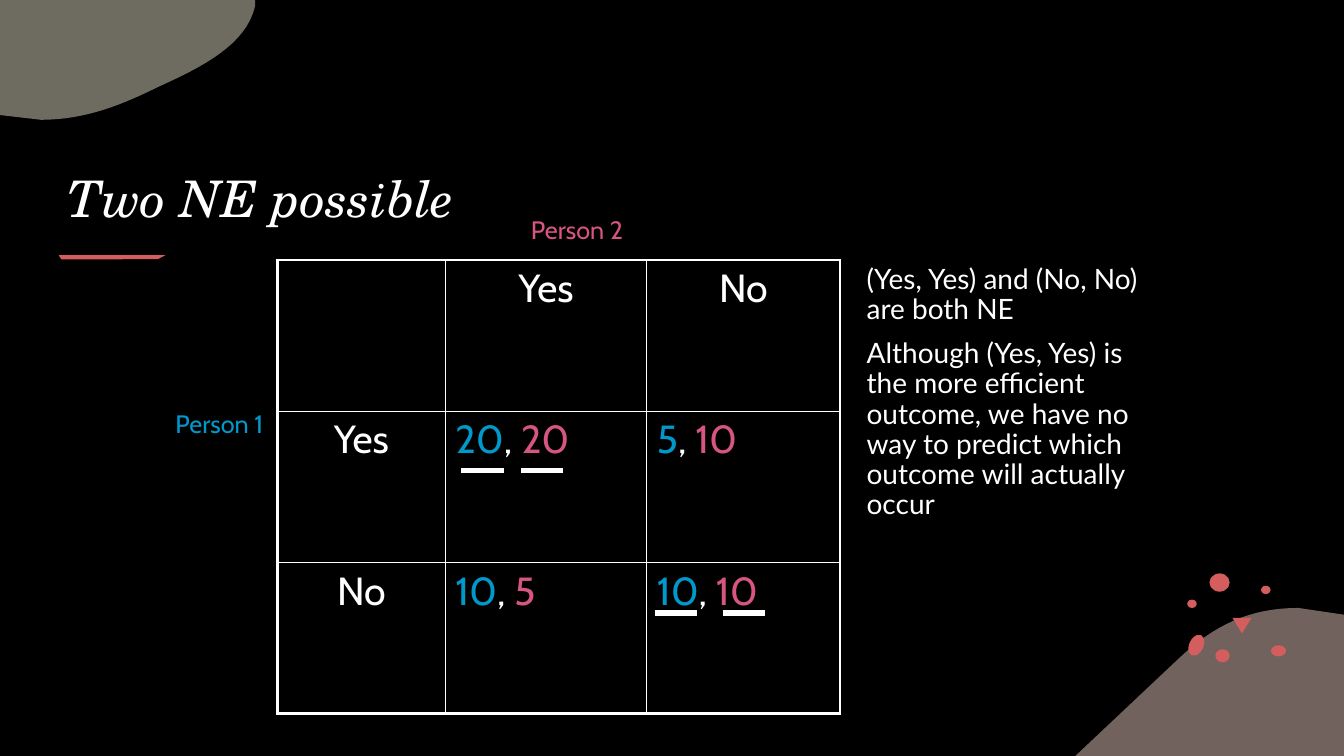
from dataclasses import dataclass

from lxml.etree import SubElement
from pptx import Presentation
from pptx.dml.color import RGBColor
from pptx.enum.shapes import MSO_CONNECTOR, MSO_SHAPE
from pptx.enum.text import MSO_ANCHOR, PP_ALIGN
from pptx.oxml.ns import qn
from pptx.util import Cm, Pt

WHITE, BLACK, CORAL = "FFFFFF", "000000", "D45E5E"
BLUE, PINK = "0099CC", "D75681"
CURVE_STEPS = 16
SLIDE_WIDTH, SLIDE_HEIGHT = 33.87, 19.05


@dataclass
class Run:
    text: str
    color: str = WHITE


@dataclass
class TextStyle:
    font: str
    size: float
    italic: bool = False


@dataclass
class TextBlock:
    left: float
    top: float
    width: float
    height: float
    paragraphs: list[Run]
    style: TextStyle
    anchor: MSO_ANCHOR = MSO_ANCHOR.TOP
    line_spacing: float = 1.0
    space_before: float = 0


@dataclass
class Outline:
    """A closed outline: a start, then line ends (2 numbers) or Bezier curves (6 numbers)."""
    start: tuple[float, float]
    segments: list[tuple[float, ...]]
    color: str = CORAL
    opacity: int = 100


@dataclass
class Confetti:
    left: float
    top: float
    width: float
    height: float
    kind: MSO_SHAPE = MSO_SHAPE.OVAL
    rotation: float = 0


HEADING = TextStyle("TeX Gyre Schola", 36, italic=True)
BODY = TextStyle("Lato", 20)
PLAYER = TextStyle("Cabin", 18)
PAYOFF = TextStyle("Cabin", 28)

# Two corner blobs and the brush stroke under the heading
OUTLINES = [
    Outline((32.72, 15.32), [
        (SLIDE_WIDTH, 15.49), (SLIDE_WIDTH, SLIDE_HEIGHT), (27.1, SLIDE_HEIGHT), (29.69, 16.61),
        (30.6, 15.75, 31.5, 15.32, 32.72, 15.32)], "E5C4BA", 50),
    Outline((0, 0), [
        (6.43, 0), (6.43, 0.15), (6.22, 1.12, 5.08, 1.7, 4.01, 2.18),
        (3.12, 2.62, 2.18, 3.02, 1.04, 3.02), (0, 2.9)], "DCD9C3", 50),
    Outline((1.48, 6.43), [(4.17, 6.43), (3.98, 6.53), (1.55, 6.54)]),
]

CONFETTI = [
    Confetti(30.63, 16.36, 0.36, 0.33),
    Confetti(29.97, 15.98, 0.36, 0.56, rotation=25),
    Confetti(32.03, 16.26, 0.38, 0.28),
    Confetti(30.48, 14.45, 0.51, 0.46),
    Confetti(31.78, 14.76, 0.24, 0.21),
    Confetti(29.92, 15.11, 0.24, 0.21),
    Confetti(31.06, 15.57, 0.48, 0.39, MSO_SHAPE.FLOWCHART_MERGE),
]

TEXT_BLOCKS = [
    TextBlock(1.45, 2.18, 27.99, 3.68, [Run("Two NE possible")], HEADING, MSO_ANCHOR.BOTTOM),
    TextBlock(21.59, 6.55, 7.62, 11.63, [
        Run("(Yes, Yes) and (No, No) are both NE"),
        Run("Although (Yes, Yes) is the more efficient outcome, we have no way to predict "
            "which outcome will actually occur"),
    ], BODY, line_spacing=0.9, space_before=10),
    TextBlock(4.17, 10.16, 3.02, 1.02, [Run("Person 1", BLUE)], PLAYER),
    TextBlock(13.13, 5.28, 3.61, 1.02, [Run("Person 2", PINK)], PLAYER),
]

CHOICES = ["Yes", "No"]
PAYOFFS = [[(20, 20), (5, 10)], [(10, 5), (10, 10)]]
COLUMN_WIDTHS = [4.23, 5.08, 4.87]
ROW_HEIGHT = 3.81

# Left ends of the best-response marks, by height
BEST_RESPONSES = {11.86: (11.63, 13.13), 15.44: (16.51, 18.21)}
MARK_LENGTH = 1.06


def rgb(color: str) -> RGBColor:
    return RGBColor.from_string(color)


def paint(shape, color: str) -> None:
    shape.shadow.inherit = False
    shape.line.fill.background()
    shape.fill.solid()
    shape.fill.fore_color.rgb = rgb(color)


def add_run(paragraph, run: Run, style: TextStyle) -> None:
    piece = paragraph.add_run()
    piece.text = run.text
    piece.font.name = style.font
    piece.font.size = Pt(style.size)
    piece.font.italic = style.italic
    piece.font.color.rgb = rgb(run.color)


def draw_outline(slide, outline: Outline) -> None:
    points = [outline.start]
    for segment in outline.segments:
        if len(segment) == 2:
            points.append(segment)
            continue
        corners = [points[-1], segment[:2], segment[2:4], segment[4:]]
        for step in range(1, CURVE_STEPS + 1):
            t = step / CURVE_STEPS
            weights = ((1 - t) ** 3, 3 * t * (1 - t) ** 2, 3 * t * t * (1 - t), t ** 3)
            points.append(tuple(sum(weight * corner[axis] for weight, corner
                                    in zip(weights, corners)) for axis in (0, 1)))
    placed = [(Cm(x), Cm(y)) for x, y in points]
    builder = slide.shapes.build_freeform(*placed[0])
    builder.add_line_segments(placed[1:], close=True)
    shape = builder.convert_to_shape()
    paint(shape, outline.color)
    if outline.opacity < 100:
        color = shape.element.spPr.find(qn("a:solidFill"))[0]
        SubElement(color, qn("a:alpha"), val=str(outline.opacity * 1000))


def draw_confetti(slide, piece: Confetti) -> None:
    shape = slide.shapes.add_shape(piece.kind, Cm(piece.left), Cm(piece.top),
                                   Cm(piece.width), Cm(piece.height))
    shape.rotation = piece.rotation
    paint(shape, CORAL)


def draw_text(slide, block: TextBlock) -> None:
    shape = slide.shapes.add_textbox(Cm(block.left), Cm(block.top),
                                     Cm(block.width), Cm(block.height))
    frame = shape.text_frame
    frame.word_wrap = True
    frame.vertical_anchor = block.anchor
    for index, run in enumerate(block.paragraphs):
        paragraph = frame.add_paragraph() if index else frame.paragraphs[0]
        paragraph.line_spacing = block.line_spacing
        paragraph.space_before = Pt(block.space_before if index else 0)
        add_run(paragraph, run, block.style)


def set_border(cell, side: str, width: float) -> None:
    line = SubElement(cell._tc.get_or_add_tcPr(), qn(f"a:ln{side}"), w=str(Pt(width)))
    fill = SubElement(line, qn("a:solidFill"))
    SubElement(fill, qn("a:srgbClr"), val=WHITE)


def draw_game(slide) -> None:
    size = len(COLUMN_WIDTHS)
    table = slide.shapes.add_table(size, size, Cm(6.99), Cm(6.55), Cm(sum(COLUMN_WIDTHS)),
                                   Cm(ROW_HEIGHT * size)).table
    table.first_row = table.horz_banding = False
    for column, width in zip(table.columns, COLUMN_WIDTHS):
        column.width = Cm(width)
    for row in range(size):
        for column in range(size):
            cell = table.cell(row, column)
            edges = {"L": column == 0, "R": column == size - 1,
                     "T": row == 0, "B": row == size - 1}
            for side, outer in edges.items():
                set_border(cell, side, 2.25 if outer else 1)
            cell.fill.background()
            paragraph = cell.text_frame.paragraphs[0]
            if row and column:
                first, second = PAYOFFS[row - 1][column - 1]
                for run in (Run(str(first), BLUE), Run(", "), Run(str(second), PINK)):
                    add_run(paragraph, run, PAYOFF)
            elif row or column:
                paragraph.alignment = PP_ALIGN.CENTER
                add_run(paragraph, Run(CHOICES[max(row, column) - 1]), PAYOFF)


def draw_mark(slide, left: float, top: float) -> None:
    line = slide.shapes.add_connector(MSO_CONNECTOR.STRAIGHT, Cm(left), Cm(top),
                                      Cm(left + MARK_LENGTH), Cm(top))
    line.line.color.rgb = rgb(WHITE)
    line.line.width = Pt(4)
    SubElement(line.element.spPr, qn("a:effectLst"))


def main() -> None:
    presentation = Presentation()
    presentation.slide_width, presentation.slide_height = Cm(SLIDE_WIDTH), Cm(SLIDE_HEIGHT)
    slide = presentation.slides.add_slide(presentation.slide_layouts[6])
    slide.background.fill.solid()
    slide.background.fill.fore_color.rgb = rgb(BLACK)
    for outline in OUTLINES:
        draw_outline(slide, outline)
    for piece in CONFETTI:
        draw_confetti(slide, piece)
    for block in TEXT_BLOCKS:
        draw_text(slide, block)
    draw_game(slide)
    for top, lefts in BEST_RESPONSES.items():
        for left in lefts:
            draw_mark(slide, left, top)
    presentation.save("out.pptx")


if __name__ == "__main__":
    main()
